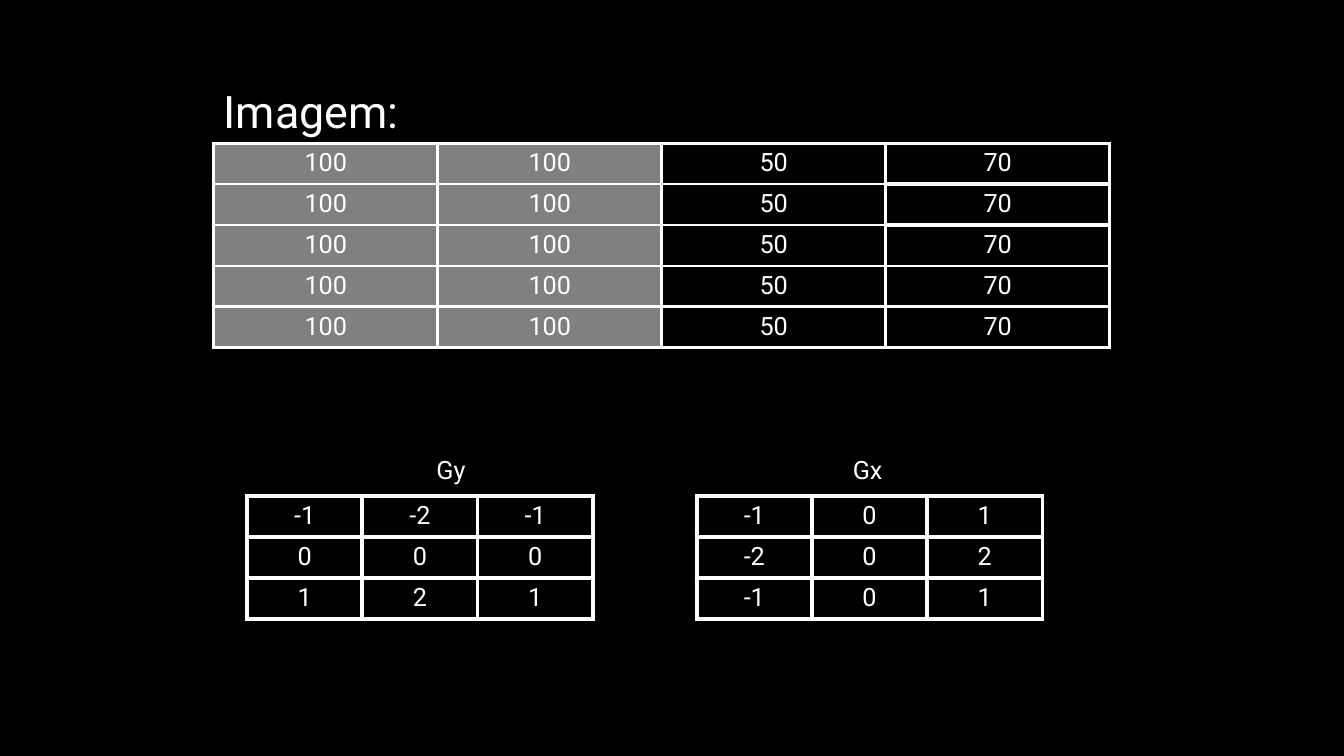
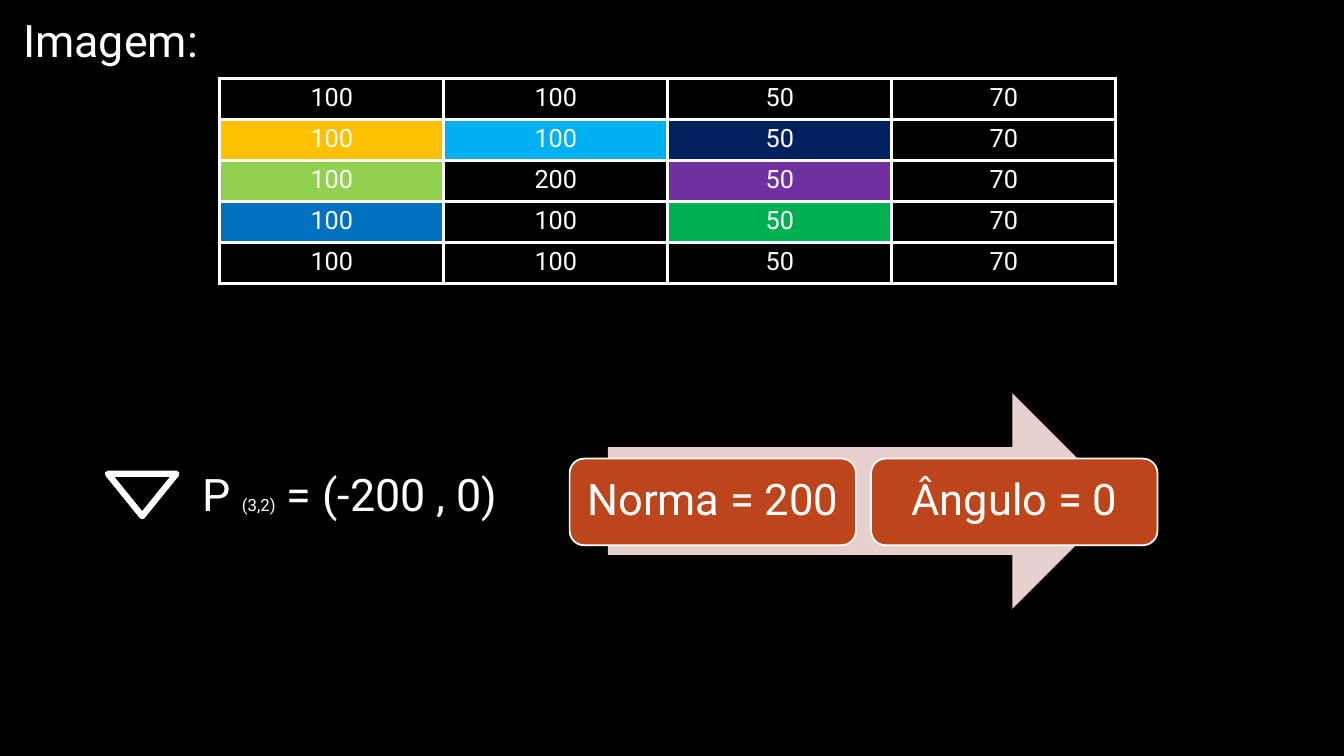
from lxml import etree
from pptx import Presentation
from pptx.dml.color import RGBColor
from pptx.enum import shapes, text
from pptx.oxml import ns
from pptx.util import Inches, Pt

FONT = "Roboto"
BLACK = RGBColor(0x00, 0x00, 0x00)
WHITE = RGBColor(0xFF, 0xFF, 0xFF)
GRAY = RGBColor(0x80, 0x80, 0x80)
RUST = RGBColor(0xBC, 0x45, 0x1B)
PINK = RGBColor(0xE7, 0xCF, 0xCD)
GOLD = RGBColor(0xFF, 0xC0, 0x00)
SKY = RGBColor(0x00, 0xB0, 0xF0)
NAVY = RGBColor(0x00, 0x20, 0x60)
LIME = RGBColor(0x92, 0xD0, 0x50)
PURPLE = RGBColor(0x70, 0x30, 0xA0)
BLUE = RGBColor(0x00, 0x70, 0xC0)
GREEN = RGBColor(0x00, 0xB0, 0x50)

THIN, THICK = 2.25, 3
ROW_H = 0.406
SHAPE = shapes.MSO_SHAPE


def add_run(para, words, size):
    run = para.add_run()
    run.text = words
    run.font.size = Pt(size)
    run.font.name = FONT
    run.font.color.rgb = WHITE


def add_label(slide, left, top, width, height, runs, wrap=False):
    """Place one line of text; runs holds (words, size) pairs."""
    box = slide.shapes.add_textbox(
        Inches(left), Inches(top), Inches(width), Inches(height))
    box.text_frame.word_wrap = wrap
    for words, size in runs:
        add_run(box.text_frame.paragraphs[0], words, size)


def add_title(slide, left, top):
    add_label(slide, left, top, 4.09, 0.64, [("Imagem:", 32)], wrap=True)


def add_form(slide, kind, left, top, width, height, fill=None, line=None):
    """Place a preset shape; line is a width in points."""
    form = slide.shapes.add_shape(
        kind, Inches(left), Inches(top), Inches(width), Inches(height))
    form.shadow.inherit = False
    if fill is None:
        form.fill.background()
    else:
        form.fill.solid()
        form.fill.fore_color.rgb = fill
    if line is None:
        form.line.fill.background()
    else:
        form.line.color.rgb = WHITE
        form.line.width = Pt(line)
    return form


def add_card(slide, left, words):
    card = add_form(slide, SHAPE.ROUNDED_RECTANGLE, left, 4.55, 2.84, 0.86,
                    RUST, 1.25)
    frame = card.text_frame
    frame.word_wrap = True
    frame.vertical_anchor = text.MSO_ANCHOR.MIDDLE
    frame.margin_left = frame.margin_right = Inches(0.13)
    frame.margin_top = frame.margin_bottom = Inches(0.13)
    para = frame.paragraphs[0]
    para.alignment = text.PP_ALIGN.CENTER
    para.line_spacing = 0.9
    add_run(para, words, 31)


def set_edges(cell, widths):
    """Draw white cell borders; widths maps L, R, T, B to points."""
    props = cell._tc.get_or_add_tcPr()
    for spot, side in enumerate("LRTB"):
        edge = etree.Element(ns.qn("a:ln" + side), w=str(Pt(widths[side])))
        paint = etree.SubElement(edge, ns.qn("a:solidFill"))
        etree.SubElement(paint, ns.qn("a:srgbClr"), val=str(WHITE))
        props.insert(spot, edge)


def add_grid(slide, left, top, col_w, rows, line, fills=None, bold=()):
    """Place a number grid; bold holds (row, column) cells whose
    bottom edge is thick, shared with the cell below."""
    fills = fills or {}
    count = len(rows[0])
    frame = slide.shapes.add_table(
        len(rows), count, Inches(left), Inches(top),
        Inches(col_w * count), Inches(ROW_H * len(rows)))
    table = frame.table
    table.first_row = table.horz_banding = False
    for col in table.columns:
        col.width = Inches(col_w)
    for r, row in enumerate(rows):
        table.rows[r].height = Inches(ROW_H)
        for c, value in enumerate(row):
            cell = table.cell(r, c)
            if (r, c) in fills:
                cell.fill.solid()
                cell.fill.fore_color.rgb = fills[r, c]
            else:
                cell.fill.background()
            para = cell.text_frame.paragraphs[0]
            para.alignment = text.PP_ALIGN.CENTER
            add_run(para, str(value), 18)
            widths = dict.fromkeys("LRTB", line)
            if (r, c) in bold:
                widths["B"] = THICK
            if (r - 1, c) in bold:
                widths["T"] = THICK
            set_edges(cell, widths)


def add_pixels(slide, left, top, rows, fills):
    add_grid(slide, left, top, 2.222, rows, THIN, fills, {(0, 3), (1, 3)})


def add_kernel(slide, left, name, name_x, rows):
    add_grid(slide, left, 4.92, 1.143, rows, THICK)
    add_label(slide, name_x, 4.46, 0.54, 0.4, [(name, 18)])


def build_kernels(slide):
    # Image values, left half shaded
    rows = [[100, 100, 50, 70] for _ in range(5)]
    fills = {(r, c): GRAY for r in range(5) for c in range(2)}
    add_pixels(slide, 2.12, 1.42, rows, fills)
    add_title(slide, 2.12, 0.78)

    # Gradient kernels: Gx is Gy with rows and columns swapped
    sobel = [[-1, -2, -1], [0, 0, 0], [1, 2, 1]]
    add_kernel(slide, 2.45, "Gy", 4.23, sobel)
    add_kernel(slide, 6.91, "Gx", 8.36, list(zip(*sobel)))


def build_result(slide):
    # Gradient at the point
    add_title(slide, 0.13, 0.08)
    add_label(slide, 1.91, 4.58, 3.14, 0.64,
              [("P ", 32), ("(3,2)", 12), (" = (-200 , 0)", 32)])
    nabla = add_form(slide, SHAPE.ISOSCELES_TRIANGLE, 1.07, 4.7, 0.68, 0.42,
                     line=4.5)
    nabla.rotation = 180

    # Norm and angle on an arrow
    add_form(slide, SHAPE.RIGHT_ARROW, 6.03, 3.9, 5.08, 2.14, PINK)
    add_card(slide, 5.65, "Norma = 200")
    add_card(slide, 8.64, "Ângulo = 0")

    # Image values, neighbours of the point coloured
    rows = [[100, 100, 50, 70] for _ in range(5)]
    rows[2][1] = 200
    fills = {(1, 0): GOLD, (1, 1): SKY, (1, 2): NAVY,
             (2, 0): LIME, (2, 2): PURPLE,
             (3, 0): BLUE, (3, 1): BLACK, (3, 2): GREEN}
    add_pixels(slide, 2.18, 0.78, rows, fills)


def main():
    deck = Presentation()
    deck.slide_width = Inches(13.33)
    deck.slide_height = Inches(7.5)
    # Shared black background
    back = deck.slide_master.background.fill
    back.solid()
    back.fore_color.rgb = BLACK
    for build in (build_kernels, build_result):
        build(deck.slides.add_slide(deck.slide_layouts[6]))
    deck.save("out.pptx")


main()
